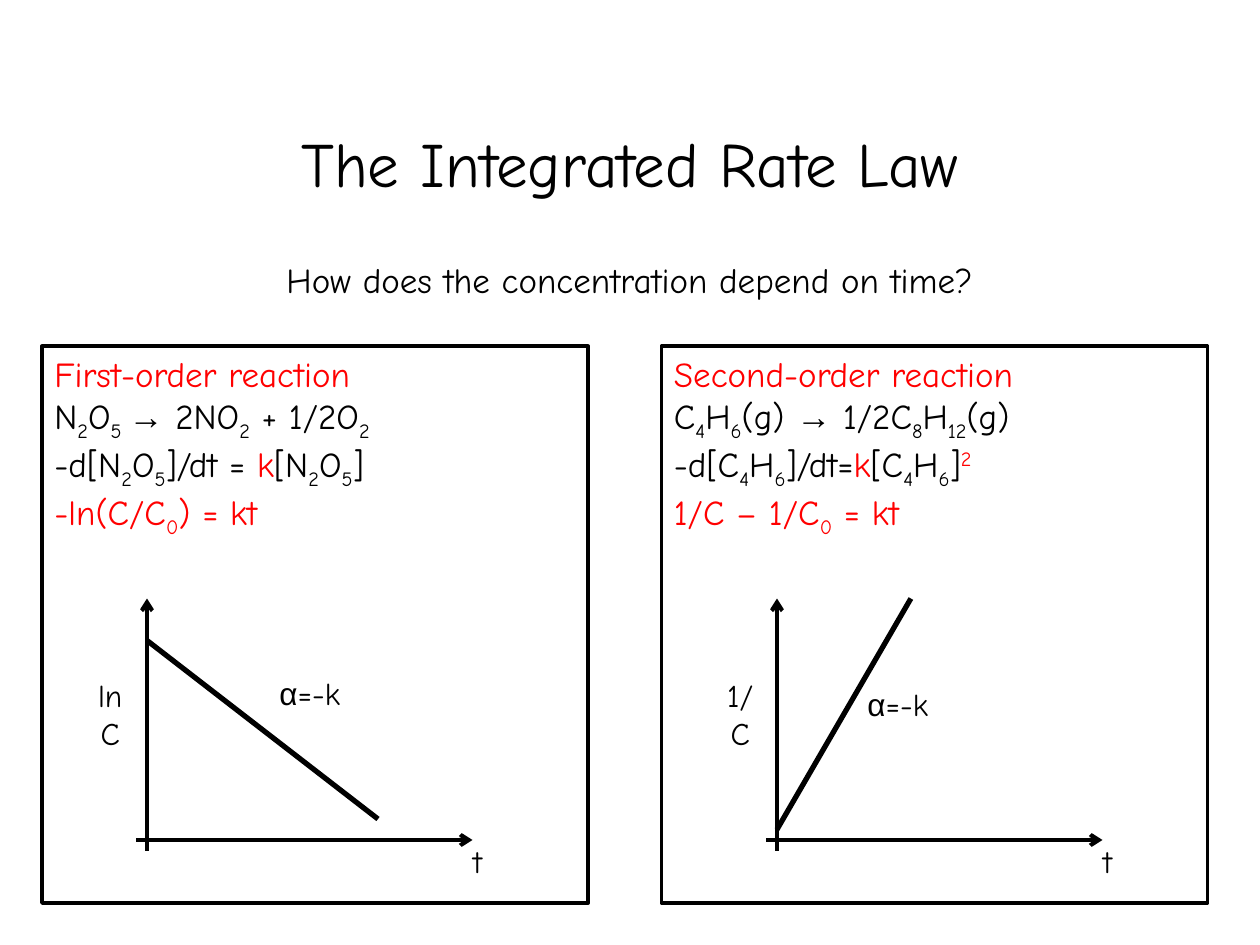
from itertools import groupby

from lxml import etree
from pptx import Presentation
from pptx.dml.color import RGBColor
from pptx.enum.shapes import MSO_CONNECTOR, MSO_SHAPE
from pptx.enum.text import MSO_ANCHOR, PP_ALIGN
from pptx.oxml.ns import qn
from pptx.util import Pt

BLACK = RGBColor(0x00, 0x00, 0x00)
RED = RGBColor(0xFF, 0x00, 0x00)
FONT, SYMBOL_FONT, SYMBOLS = "Comic Neue", "Arial", "→α"
SUB, SUP, ACCENT = "_", "^", "*"
BASELINES = {SUB: "-25000", SUP: "30000"}
LEFT, CENTER = PP_ALIGN.LEFT, PP_ALIGN.CENTER
TOP, MIDDLE = MSO_ANCHOR.TOP, MSO_ANCHOR.MIDDLE
RECT, STRAIGHT = MSO_SHAPE.RECTANGLE, MSO_CONNECTOR.STRAIGHT

PANELS = [
    (24, ["*First-order reaction*",
          "N_2_O_5 _→ 2NO_2_ + 1/2O_2_",
          "-d[N_2_O_5_]/dt = *k*[N_2_O_5_]",
          "*-ln(C/C_0_) = kt*"]),
    (378, ["*Second-order reaction*",
           "C_4_H_6_(g) → 1/2C_8_H_12_(g)",
           "-d[C_4_H_6_]/dt=*k*[C_4_H_6_]*^2^*",
           "*1/C – 1/C_0_ = kt*"]),
]
GRAPHS = [
    (48, "lnC", (36, 24, 168, 126), (102, 36)),
    (408, "1/C", (36, 132, 112.5, 0), (78, 42)),
]


def styled_chars(markup):
    active = set()
    for char in markup:
        if char in (SUB, SUP, ACCENT):
            active ^= {char}
        else:
            yield char, (frozenset(active), char in SYMBOLS)


def add_markup(p, markup, size):
    for (marks, symbol), chars in groupby(styled_chars(markup), lambda c: c[1]):
        r = p.add_run()
        r.text = "".join(char for char, _ in chars)
        r.font.size = Pt(size)
        r.font.name = SYMBOL_FONT if symbol else FONT
        r.font.color.rgb = RED if ACCENT in marks else BLACK
        for mark in marks & BASELINES.keys():
            r._r.get_or_add_rPr().set("baseline", BASELINES[mark])


def add_text(slide, x, y, w, h, text, size, anchor=MIDDLE, wrap=False):
    tf = slide.shapes.add_textbox(Pt(x), Pt(y), Pt(w), Pt(h)).text_frame
    tf.word_wrap = wrap
    tf.vertical_anchor = anchor
    p = tf.paragraphs[0]
    p.alignment = CENTER
    add_markup(p, text, size)


def add_line(slide, x1, y1, x2, y2, width, arrow=False):
    s = slide.shapes.add_connector(STRAIGHT, Pt(x1), Pt(y1), Pt(x2), Pt(y2))
    s.line.color.rgb = BLACK
    s.line.width = Pt(width)
    if arrow:
        etree.SubElement(s.line._get_or_add_ln(), qn("a:tailEnd"), type="arrow")
    etree.SubElement(s._element.spPr, qn("a:effectLst"))


def add_heading(slide, x, y, w):
    add_text(slide, x, y, w, 90, "The Integrated Rate Law", 36, wrap=True)
    add_text(slide, x, y + 96, w, 48,
             "How does the concentration depend on time?", 20, TOP, True)


def add_panel(slide, x, y, w, h, lines):
    s = slide.shapes.add_shape(RECT, Pt(x), Pt(y), Pt(w), Pt(h))
    s.shadow.inherit = False
    s.fill.background()
    s.line.color.rgb = BLACK
    s.line.width = Pt(2.25)
    tf = s.text_frame
    tf.word_wrap = True
    tf.vertical_anchor = TOP
    for i, line in enumerate(lines):
        p = tf.add_paragraph() if i else tf.paragraphs[0]
        p.alignment = LEFT
        add_markup(p, line, 20)


def add_graph(slide, x, y, y_label, plot, slope_at):
    add_line(slide, x + 36, y + 144, x + 36, y, 2.25, arrow=True)
    add_line(slide, x + 30, y + 138, x + 222, y + 138, 2.25, arrow=True)
    x1, y1, x2, y2 = plot
    add_line(slide, x + x1, y + y1, x + x2, y + y2, 3)
    add_text(slide, x, y + 42, 30, 48, y_label, 18)
    add_text(slide, x + 210, y + 126, 30, 48, "t", 18)
    add_text(slide, x + slope_at[0], y + slope_at[1], 54, 36, "α=-k", 18)


def main():
    prs = Presentation()
    prs.slide_width, prs.slide_height = Pt(720), Pt(540)
    slide = prs.slides.add_slide(prs.slide_layouts[6])
    add_heading(slide, 54, 48, 612)
    for x, lines in PANELS:
        add_panel(slide, x, 198, 312, 318, lines)
    for x, y_label, plot, slope_at in GRAPHS:
        add_graph(slide, x, 342, y_label, plot, slope_at)
    prs.save("out.pptx")


if __name__ == "__main__":
    main()
